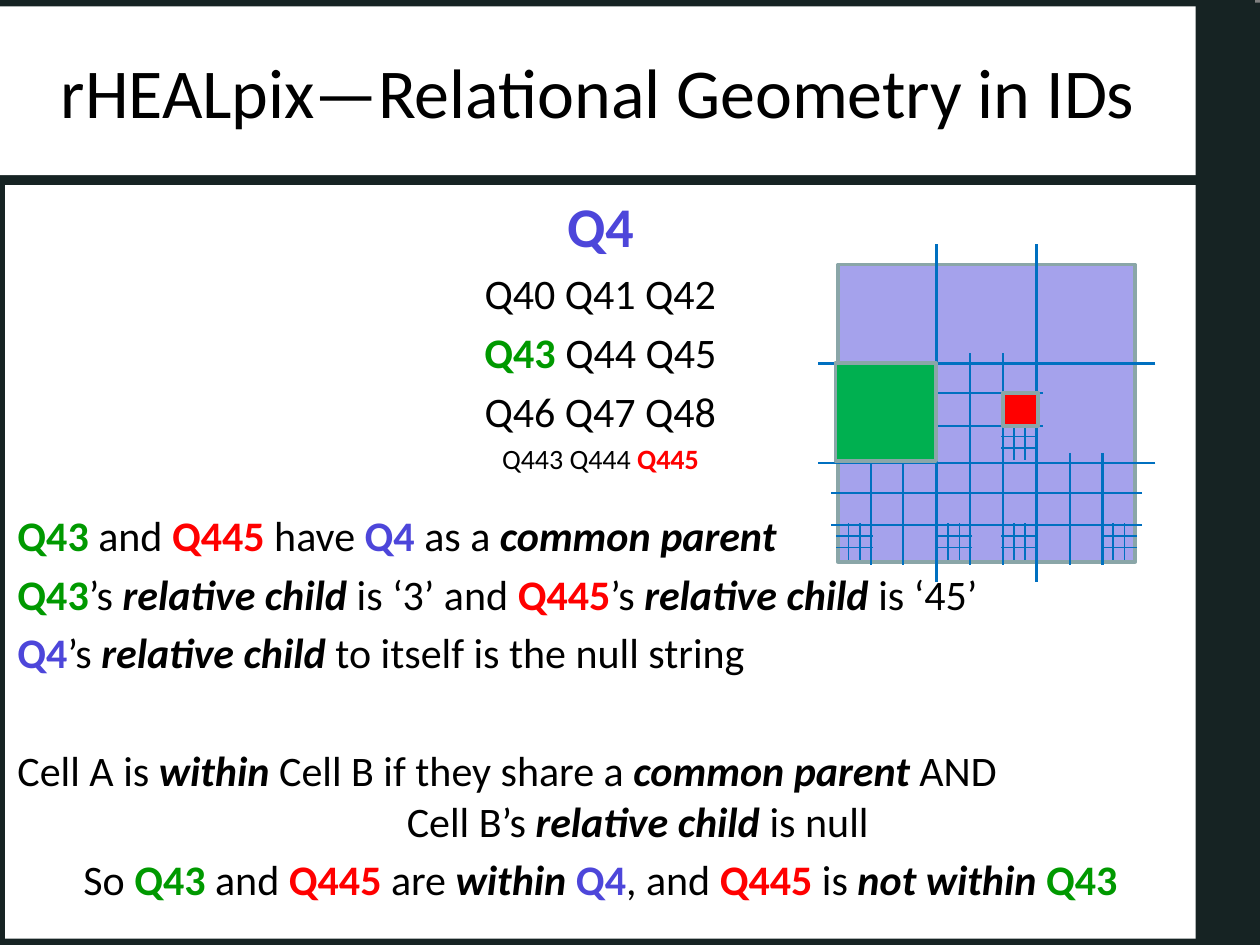
from lxml.etree import SubElement
from pptx import Presentation
from pptx.dml.color import RGBColor
from pptx.enum.shapes import MSO_CONNECTOR, MSO_SHAPE
from pptx.enum.text import MSO_ANCHOR, PP_ALIGN
from pptx.oxml.ns import qn
from pptx.util import Inches, Pt

DARK = RGBColor(0x16, 0x23, 0x23)
GREY = RGBColor(0x80, 0x80, 0x80)
WHITE = RGBColor(0xFF, 0xFF, 0xFF)
BLACK = RGBColor(0, 0, 0)
BLUE = RGBColor(0x4D, 0x46, 0xDA)
GREEN = RGBColor(0, 0x99, 0)
RED = RGBColor(0xFF, 0, 0)
LEAF = RGBColor(0, 0xB0, 0x50)
EDGE = RGBColor(0x8A, 0xA6, 0xA8)
GRID = RGBColor(0, 0x70, 0xC0)

CENTER, LEFT = PP_ALIGN.CENTER, PP_ALIGN.LEFT
EM = {"bold": True, "italic": True}
Q4, Q43, Q445 = ((name, {"bold": True, "color": color}) for name, color in
                 (("Q4", BLUE), ("Q43", GREEN), ("Q445", RED)))
PARENT = ("common parent", EM)
CHILD = ("relative child ", EM)


class Deck:
    """Holds the style and the current slide."""

    font = "Calibri"

    def __init__(self, width, height):
        """Start a deck with one blank slide."""
        self.prs = Presentation()
        self.prs.slide_width, self.prs.slide_height = Inches(width), Inches(height)
        self.slide = self.prs.slides.add_slide(self.prs.slide_layouts[6])
        self.slide.background.fill.solid()
        self.slide.background.fill.fore_color.rgb = GREY

    def box(self, left, top, width, height, fill, line=None, alpha=None):
        """Add a filled rectangle, with an edge and opacity if given."""
        shape = self.slide.shapes.add_shape(
            MSO_SHAPE.RECTANGLE, *map(Inches, (left, top, width, height)))
        shape.shadow.inherit = False
        shape.fill.solid()
        shape.fill.fore_color.rgb = fill
        if alpha:
            tint = shape.fill._xPr.find(qn("a:solidFill"))[0]
            SubElement(tint, qn("a:alpha")).set("val", str(alpha * 1000))
        if line:
            shape.line.color.rgb = line
            shape.line.width = Pt(2)
        else:
            shape.line.fill.background()
        return shape

    def text(self, shape, rows, anchor):
        """Fill a shape with rows of (runs, size, align, gap, indent)."""
        frame = shape.text_frame
        frame.word_wrap = True
        frame.vertical_anchor = anchor
        for i, (runs, size, align, gap, indent) in enumerate(rows):
            para = frame.paragraphs[0] if i == 0 else frame.add_paragraph()
            para.alignment = align
            para.space_before = Pt(gap)
            if indent:
                para._p.get_or_add_pPr().set("marL", str(Inches(indent)))
            for part in runs:
                words, style = (part, {}) if isinstance(part, str) else part
                self.run(para, words, size, **style)

    def run(self, para, words, size, color=BLACK, **style):
        """Add one run of text in the deck's font."""
        run = para.add_run()
        run.text = words
        run.font.color.rgb = color
        for key, value in {"name": self.font, "size": Pt(size), **style}.items():
            setattr(run.font, key, value)

    def grid(self, x, y, pitch, span, weight):
        """Draw two upright and two level lines about a centre point."""
        group = self.slide.shapes.add_group_shape()
        half = span / 2
        for step in (pitch / 2, -pitch / 2):
            for ends in ((x + step, y - half, x + step, y + half),
                         (x + half, y + step, x - half, y + step)):
                line = group.shapes.add_connector(
                    MSO_CONNECTOR.STRAIGHT, *map(Inches, ends))
                line.line.color.rgb = GRID
                line.line.width = Pt(weight)
                SubElement(line._element.spPr, qn("a:effectLst"))


deck = Deck(10, 7.5)
deck.box(0, 0, 9.96, 7.5, DARK)
deck.box(0, 0.02, 10, 7.48, DARK)

title = deck.box(0, 0.05, 9.49, 1.34, WHITE)
deck.text(title, [(["rHEALpix—Relational Geometry in IDs"], 40, CENTER, 0, 0)],
          MSO_ANCHOR.MIDDLE)

body = deck.box(0.04, 1.47, 9.45, 5.98, WHITE)
deck.text(body, [
    ([Q4], 32, CENTER, 6.4, 0),
    (["Q40 Q41 Q42"], 24, CENTER, 5, 0),
    ([Q43, " Q44 Q45"], 24, CENTER, 5, 0),
    (["Q46 Q47 Q48"], 24, CENTER, 5, 0),
    (["Q443 Q444 ", Q445], 16, CENTER, 3.2, 0),
    ([Q43, " and ", Q445, " have ", Q4, " as a ", PARENT], 24, LEFT, 19.5, 0),
    ([Q43, "’s ", CHILD, "is ‘3’ and ", Q445, "’s ", CHILD, "is ‘45’"],
     24, LEFT, 4.8, 0),
    ([Q4, "’s ", CHILD, "to itself is the null string"], 24, LEFT, 4.8, 0),
    (["Cell A is ", ("within", EM), " Cell B if they share a ", PARENT, " AND"],
     24, LEFT, 38.5, 0),
    (["Cell B’s ", CHILD, "is null"], 24, LEFT, 0, 3.09),
    (["So ", Q43, " and ", Q445, " are ", ("within ", EM), Q4, ", and ", Q445,
      " is ", ("not within ", EM), Q43], 24, CENTER, 4.8, 0),
], MSO_ANCHOR.TOP)

# Nested grid: each level splits a cell in three by three
CELL, SUB, TINY = 0.79, 0.26, 0.09
MID_X, MID_Y = 7.83, 3.25
deck.box(6.65, 2.1, 2.36, 2.36, BLUE, EDGE, alpha=50)
deck.grid(MID_X, 3.28, CELL, 2.68, 1.5)
for col, row, sides in ((0, 0, [1]), (-1, 1, [-1]), (0, 1, [-1, 1]), (1, 1, [1])):
    x, y = MID_X + col * CELL, MID_Y + row * CELL
    deck.grid(x, y, SUB, 0.89, 1.25)
    for side in sides:
        deck.grid(x + side * SUB, y + SUB, TINY, 0.29, 1)
deck.box(7.96, 3.12, 0.28, 0.26, RED, EDGE)
deck.box(6.63, 2.88, 0.8, 0.78, LEAF, EDGE)

deck.prs.save("out.pptx")
